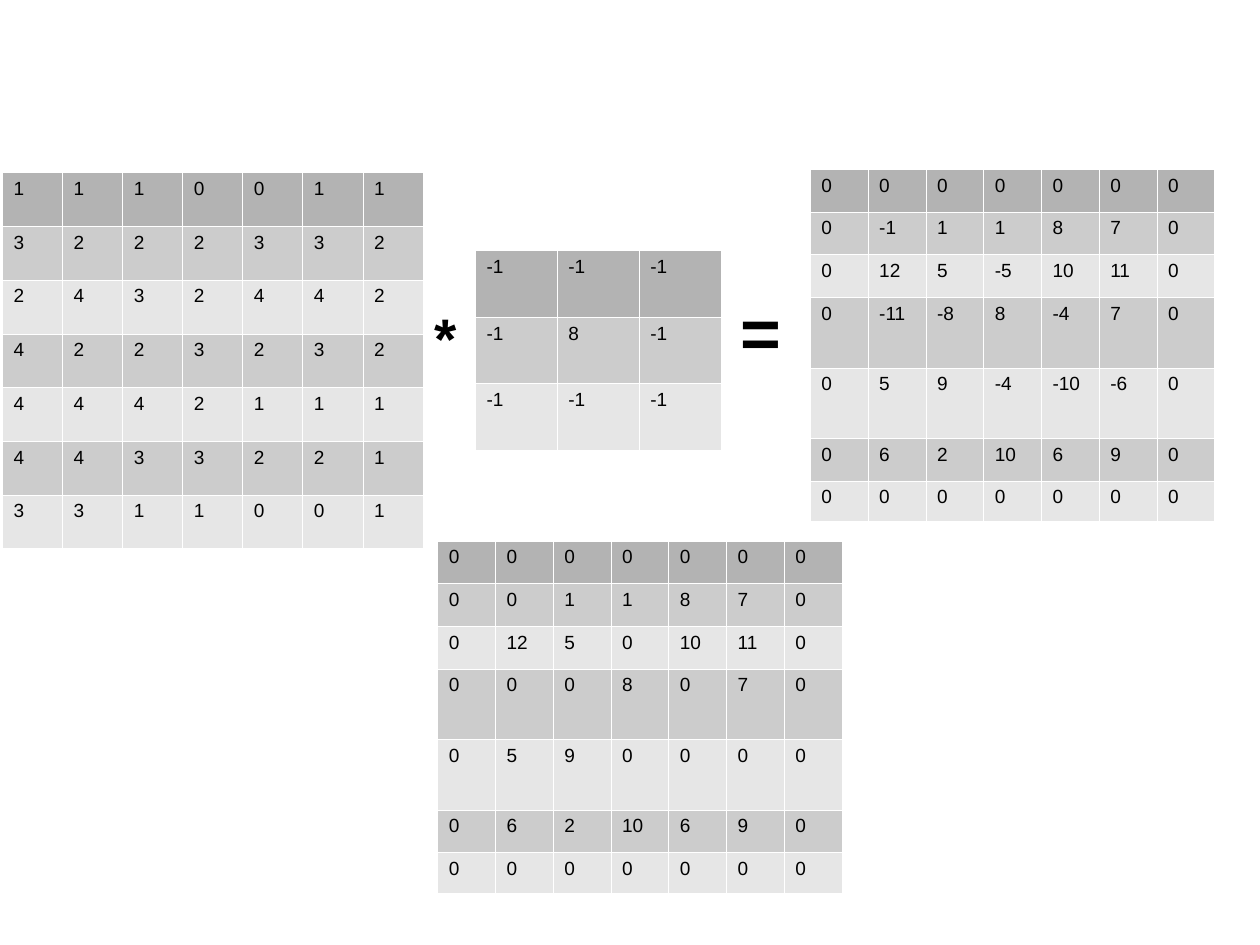
"""Build a slide that convolves a grid with an edge kernel and clips negatives to zero."""
from lxml.etree import SubElement
from pptx import Presentation
from pptx.dml.color import RGBColor
from pptx.enum.text import MSO_AUTO_SIZE
from pptx.oxml.ns import qn
from pptx.util import Pt


def paint(fill, color):
    fill.solid()
    fill.fore_color.rgb = RGBColor.from_string(color)


def write(frame, words, size, bold=False):
    run = frame.paragraphs[0].add_run()
    run.text = words
    run.font.name = "Arial"
    run.font.size = Pt(size)
    run.font.bold = bold
    paint(run.font.fill, "000000")


deck = Presentation()
deck.slide_width, deck.slide_height = Pt(793.75), Pt(595.25)
slide = deck.slides.add_slide(deck.slide_layouts[6])

source = [
    [1, 1, 1, 0, 0, 1, 1],
    [3, 2, 2, 2, 3, 3, 2],
    [2, 4, 3, 2, 4, 4, 2],
    [4, 2, 2, 3, 2, 3, 2],
    [4, 4, 4, 2, 1, 1, 1],
    [4, 4, 3, 3, 2, 2, 1],
    [3, 3, 1, 1, 0, 0, 1],
]
kernel = [[-1, -1, -1], [-1, 8, -1], [-1, -1, -1]]
response = [
    [0, 0, 0, 0, 0, 0, 0],
    [0, -1, 1, 1, 8, 7, 0],
    [0, 12, 5, -5, 10, 11, 0],
    [0, -11, -8, 8, -4, 7, 0],
    [0, 5, 9, -4, -10, -6, 0],
    [0, 6, 2, 10, 6, 9, 0],
    [0, 0, 0, 0, 0, 0, 0],
]
clipped = [[max(0, value) for value in row] for row in response]

response_heights = [26.85, 26.85, 26.85, 44.5, 44.5, 26.85, 25.5]
matrices = [
    (source, 1.4, 108.6, 37.85, [33.85] * 7),
    (kernel, 299.3, 157.8, 51.6, [41.9] * 3),
    (response, 510.3, 106.6, 36.4, response_heights),
    (clipped, 275.5, 340.7, 36.4, response_heights),
]
for values, left, top, column_width, row_heights in matrices:
    count = len(values)
    grid = slide.shapes.add_table(
        count, count, Pt(left), Pt(top), Pt(column_width * count), Pt(sum(row_heights))
    ).table
    for column in grid.columns:
        column.width = Pt(column_width)
    for row_number, row in enumerate(values):
        grid.rows[row_number].height = Pt(row_heights[row_number])
        shade = "B3B3B3" if row_number == 0 else ("E6E6E6", "CCCCCC")[row_number % 2]
        for column_number, value in enumerate(row):
            cell = grid.cell(row_number, column_number)
            write(cell.text_frame, str(value), 12)
            properties = cell._tc.get_or_add_tcPr()
            for side in ("a:lnL", "a:lnR", "a:lnT", "a:lnB"):
                border = SubElement(properties, qn(side), w=str(Pt(0.06)))
                SubElement(SubElement(border, qn("a:solidFill")), qn("a:srgbClr"), val="FFFFFF")
            paint(cell.fill, shade)

operators = [
    ("*", 36, 266.4, 187, 39.6, 47.5),
    ("=", 44, 459.4, 178.6, 45.4, 59.8),
]
for symbol, size, left, top, width, height in operators:
    operator = slide.shapes.add_textbox(Pt(left), Pt(top), Pt(width), Pt(height)).text_frame
    operator.word_wrap = True
    operator.auto_size = MSO_AUTO_SIZE.SHAPE_TO_FIT_TEXT
    write(operator, symbol, size, bold=True)

deck.save("out.pptx")
